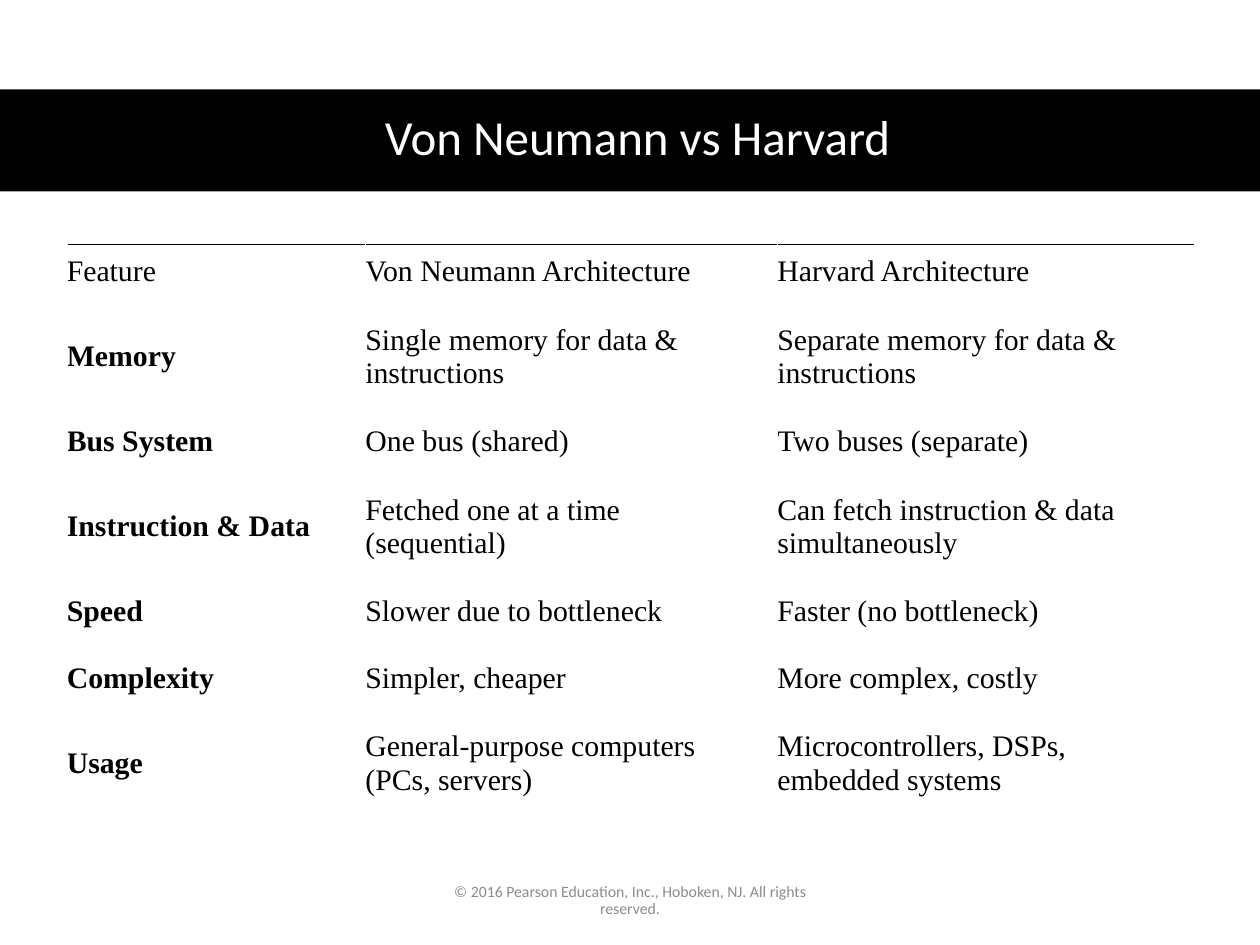
import pptx
import pptx.dml.color
import pptx.enum.shapes
import pptx.enum.text
import pptx.oxml
import pptx.oxml.ns
import pptx.util

BLACK = pptx.dml.color.RGBColor(0x00, 0x00, 0x00)
WHITE = pptx.dml.color.RGBColor(0xFF, 0xFF, 0xFF)
GRAY = pptx.dml.color.RGBColor(0x8C, 0x8C, 0x8C)

WIDTH, HEIGHT = 10, 7.5
COLUMNS = (2.37, 3.27, 3.31)
SINGLE, DOUBLE = 0.53, 0.82  # heights of one-line and two-line rows
ROWS = (
    (SINGLE, "Feature", "Von Neumann Architecture", "Harvard Architecture"),
    (DOUBLE, "Memory", "Single memory for data & instructions",
     "Separate memory for data & instructions"),
    (SINGLE, "Bus System", "One bus (shared)", "Two buses (separate)"),
    (DOUBLE, "Instruction & Data", "Fetched one at a time (sequential)",
     "Can fetch instruction & data simultaneously"),
    (SINGLE, "Speed", "Slower due to bottleneck", "Faster (no bottleneck)"),
    (SINGLE, "Complexity", "Simpler, cheaper", "More complex, costly"),
    (DOUBLE, "Usage", "General-purpose computers (PCs, servers)",
     "Microcontrollers, DSPs, embedded systems"),
)


class Deck:
    """Holds the style and the current slide; places are shares of its size."""

    heading_font = "Calibri"
    table_font = "Times New Roman"
    table_size = 17
    margins = (0, 0.04, 0.13, 0.14)

    def __init__(self):
        self.prs = pptx.Presentation()
        self.prs.slide_width = pptx.util.Inches(WIDTH)
        self.prs.slide_height = pptx.util.Inches(HEIGHT)
        self.s = self.prs.slides.add_slide(self.prs.slide_layouts[6])

    def place(self, x, y, w, h):
        sw, sh = self.prs.slide_width, self.prs.slide_height
        return int(x * sw), int(y * sh), int(w * sw), int(h * sh)

    def style(self, p, font, size, color, bold=False):
        p.font.name = font
        p.font.size = pptx.util.Pt(size)
        p.font.color.rgb = color
        p.font.bold = bold

    def band(self, x, y, w, h, color):
        sp = self.s.shapes.add_shape(
            pptx.enum.shapes.MSO_SHAPE.RECTANGLE, *self.place(x, y, w, h))
        sp.shadow.inherit = False
        sp.fill.solid()
        sp.fill.fore_color.rgb = color
        sp.line.fill.background()

    def text(self, x, y, w, h, text, size, color):
        tf = self.s.shapes.add_textbox(*self.place(x, y, w, h)).text_frame
        tf.word_wrap = True
        tf.vertical_anchor = pptx.enum.text.MSO_ANCHOR.MIDDLE
        p = tf.paragraphs[0]
        p.text = text
        p.alignment = pptx.enum.text.PP_ALIGN.CENTER
        p.line_spacing = 0.9
        self.style(p, self.heading_font, size, color)

    def top_rule(self, cell):
        ns = pptx.oxml.ns.nsdecls("a")
        line = pptx.oxml.parse_xml(
            f'<a:lnT {ns} w="{pptx.util.Pt(0.75)}"><a:solidFill>'
            f'<a:srgbClr val="{BLACK}"/></a:solidFill></a:lnT>')
        cell._tc.get_or_add_tcPr().insert(0, line)

    def table(self, x, y, columns, rows):
        w, h = sum(columns) / WIDTH, sum(row[0] for row in rows) / HEIGHT
        table = self.s.shapes.add_table(
            len(rows), len(columns), *self.place(x, y, w, h)).table
        table.first_row = table.horz_banding = False
        for column, width in zip(table.columns, columns):
            column.width = pptx.util.Inches(width)
        for i, (height, *texts) in enumerate(rows):
            table.rows[i].height = pptx.util.Inches(height)
            for j, text in enumerate(texts):
                self.cell(table.cell(i, j), text, bold=i > 0 and j == 0)
                if i == 0:
                    self.top_rule(table.cell(i, j))

    def cell(self, cell, text, bold):
        cell.fill.background()
        cell.vertical_anchor = pptx.enum.text.MSO_ANCHOR.MIDDLE
        (cell.margin_left, cell.margin_top, cell.margin_right,
         cell.margin_bottom) = map(pptx.util.Inches, self.margins)
        p = cell.text_frame.paragraphs[0]
        p.text = text
        self.style(p, self.table_font, self.table_size, BLACK, bold)


def main():
    deck = Deck()
    # Title band
    deck.band(0, 0.71 / HEIGHT, 1, 0.81 / HEIGHT, BLACK)
    deck.text(0.046, 0.7 / HEIGHT, 0.92, 0.81 / HEIGHT,
              "Von Neumann vs Harvard", 28, WHITE)
    # Comparison table
    deck.table(0.053, 1.94 / HEIGHT, COLUMNS, ROWS)
    # Footer
    deck.text(0.331, 6.95 / HEIGHT, 0.338, 0.4 / HEIGHT,
              "© 2016 Pearson Education, Inc., Hoboken, NJ. "
              "All rights reserved.", 9, GRAY)
    deck.prs.save("out.pptx")


if __name__ == "__main__":
    main()
